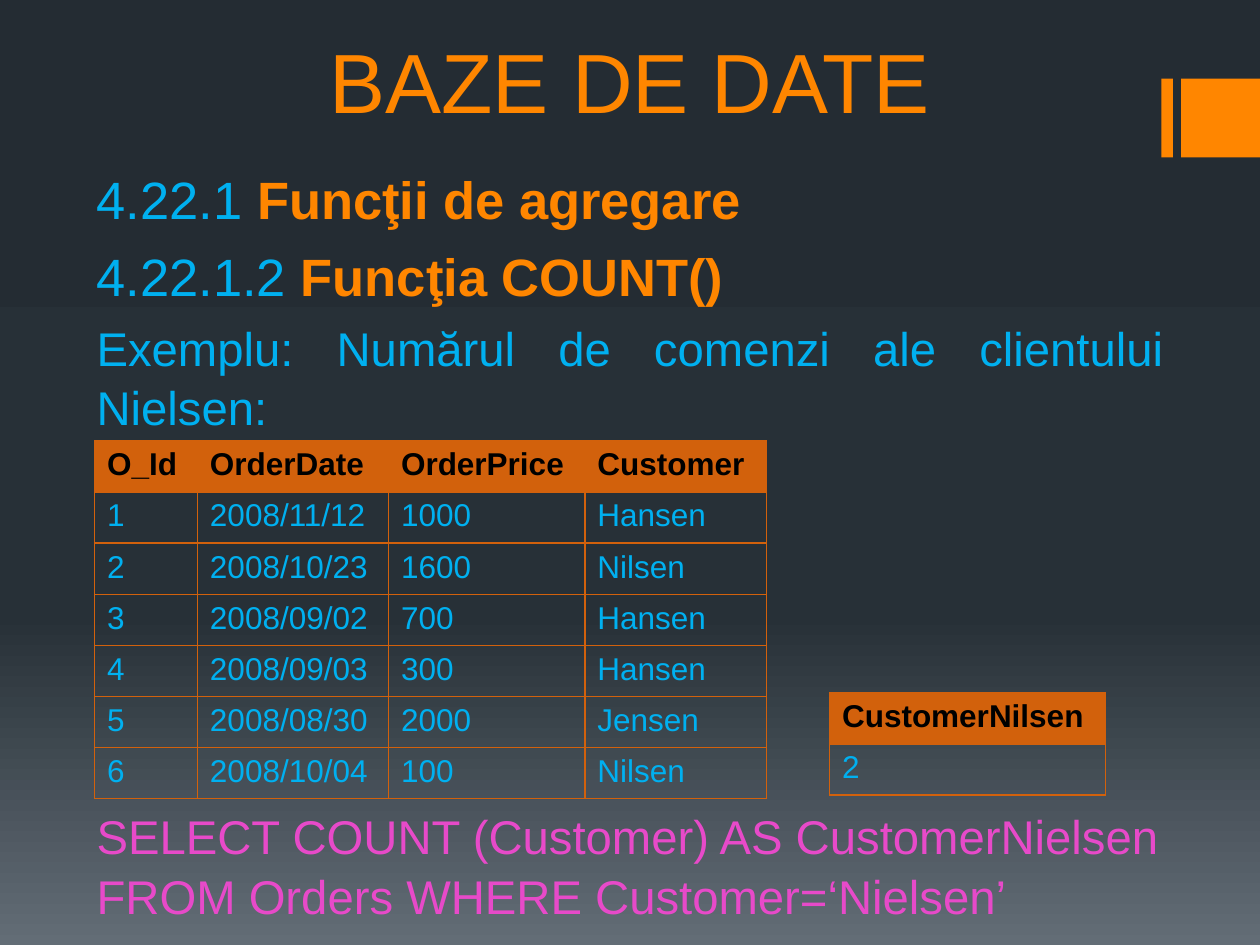
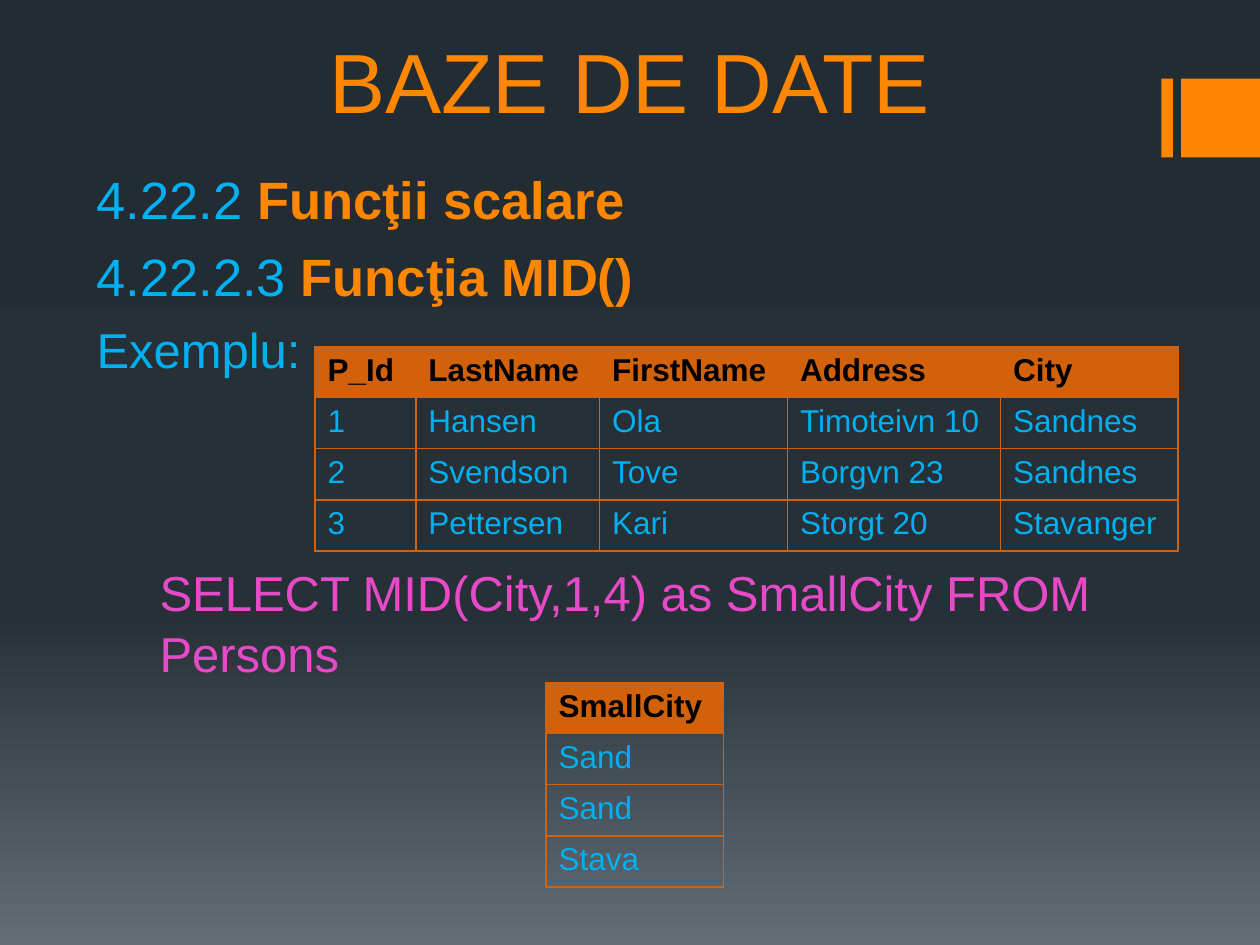
from dataclasses import dataclass
from typing import Any

import pptx
import pptx.dml.color
import pptx.enum.shapes
import pptx.enum.text
import pptx.oxml
import pptx.oxml.ns
import pptx.util
from lxml import etree

# Shared look
ORANGE, RUST, CYAN, PINK, BLACK = "FF8600", "D2610C", "00B0F0", "E74AC9", "000000"
BACKDROP = [(0, "242C33"), (65, "273037"), (100, "636D76")]
FONT = "Arial"
COLS, ROWS = 120, 90
ROW_H = 4.87
LINE_SPACING = 1.05
ALIGN = pptx.enum.text.PP_ALIGN
qn = pptx.oxml.ns.qn

prs = pptx.Presentation()
prs.slide_width, prs.slide_height = pptx.util.Inches(10), pptx.util.Inches(7.5)


@dataclass
class Box:
    """Place and size in grid columns and rows."""
    x: float
    y: float
    w: float
    h: float


@dataclass
class Run:
    text: str
    color: str = CYAN
    bold: bool = False


@dataclass
class Para:
    runs: list[Run]
    size: float = 30
    before: float = 6
    align: Any = ALIGN.LEFT
    level: int = 0


@dataclass
class Grid:
    x: float
    y: float
    widths: list[float]
    rows: list[list[str]]


@dataclass
class Page:
    paras: list[Para]
    grids: list[Grid]


TITLE_BOX = Box(9, 0, 102, 13)
BODY_BOX = Box(8, 15, 104, 67)
BARS = [Box(110.6, 7.5, 1.1, 7.5), Box(112.5, 7.5, 7.5, 7.5)]


def col(n: float) -> int:
    return round(prs.slide_width * n / COLS)


def row(n: float) -> int:
    return round(prs.slide_height * n / ROWS)


def rgb(color: str) -> pptx.dml.color.RGBColor:
    return pptx.dml.color.RGBColor.from_string(color)


def apply(target: Any, values: dict[str, Any]) -> None:
    for name, value in values.items():
        setattr(target, name, value)


def place(sp: Any, box: Box) -> None:
    apply(sp, {"left": col(box.x), "top": row(box.y),
               "width": col(box.w), "height": row(box.h)})


def add_run(p: Any, run: Run, size: float) -> None:
    r = p.add_run()
    r.text = run.text
    apply(r.font, {"name": FONT, "size": pptx.util.Pt(size), "bold": run.bold})
    r.font.color.rgb = rgb(run.color)


def set_backdrop() -> None:
    master = prs.slide_master
    fill = master.background.fill
    fill.gradient()
    fill.gradient_angle = 270
    stops = master.element.find(".//" + qn("a:gsLst"))
    for stop in list(stops):
        stops.remove(stop)
    for percent, color in BACKDROP:
        stop = etree.SubElement(stops, qn("a:gs"), pos=str(percent * 1000))
        etree.SubElement(stop, qn("a:srgbClr"), val=color)


def add_bars(s: Any, layout: Any) -> None:
    """Draw the corner bars and hand them to the layout."""
    for sp in list(layout.placeholders)[2:]:
        sp.element.getparent().remove(sp.element)
    for box in BARS:
        sp = s.shapes.add_shape(pptx.enum.shapes.MSO_SHAPE.RECTANGLE, 0, 0, 0, 0)
        place(sp, box)
        sp.shadow.inherit = False
        sp.fill.solid()
        sp.fill.fore_color.rgb = rgb(ORANGE)
        sp.line.fill.background()
    for sp in list(s.shapes)[-len(BARS):]:
        layout.shapes.element.append(sp.element)


def fill_title(sp: Any) -> None:
    place(sp, TITLE_BOX)
    tf = sp.text_frame
    apply(tf, {"vertical_anchor": pptx.enum.text.MSO_ANCHOR.BOTTOM,
               "auto_size": pptx.enum.text.MSO_AUTO_SIZE.NONE})
    p = tf.paragraphs[0]
    p.alignment = ALIGN.CENTER
    add_run(p, Run("BAZE DE DATE", ORANGE), 48)


def fill_body(sp: Any, paras: list[Para]) -> None:
    place(sp, BODY_BOX)
    tf = sp.text_frame
    apply(tf, {"vertical_anchor": pptx.enum.text.MSO_ANCHOR.TOP,
               "auto_size": pptx.enum.text.MSO_AUTO_SIZE.NONE})
    for i, para in enumerate(paras):
        p = tf.add_paragraph() if i else tf.paragraphs[0]
        apply(p, {"alignment": para.align, "level": para.level,
                  "line_spacing": LINE_SPACING,
                  "space_before": pptx.util.Pt(para.before if i else 0)})
        for run in para.runs:
            add_run(p, run, para.size)


def set_borders(cell: Any) -> None:
    props = cell._tc.get_or_add_tcPr()
    for i, side in enumerate(("a:lnL", "a:lnR", "a:lnT", "a:lnB")):
        line = etree.Element(qn(side), w=str(pptx.util.Pt(1)))
        fill = etree.SubElement(line, qn("a:solidFill"))
        etree.SubElement(fill, qn("a:srgbClr"), val=RUST)
        props.insert(i, line)


def add_grid(s: Any, grid: Grid) -> None:
    count = len(grid.rows)
    table = s.shapes.add_table(count, len(grid.widths), col(grid.x), row(grid.y),
                               col(sum(grid.widths)), row(ROW_H * count)).table
    table.horz_banding = False
    for column, width in zip(table.columns, grid.widths):
        column.width = col(width)
    for i, texts in enumerate(grid.rows):
        table.rows[i].height = row(ROW_H)
        for j, text in enumerate(texts):
            cell = table.cell(i, j)
            if i == 0:
                cell.fill.solid()
                cell.fill.fore_color.rgb = rgb(RUST)
            else:
                cell.fill.background()
            set_borders(cell)
            run = Run(text, CYAN if i else BLACK, i == 0)
            add_run(cell.text_frame.paragraphs[0], run, 18)


def heading(number: str, name: str) -> Para:
    return Para([Run(number + " "), Run(name, ORANGE, True)])


# Slide contents
PAGES = [
    Page(
        [heading("4.22.1", "Funcţii de agregare"),
         heading("4.22.1.2", "Funcţia COUNT()"),
         Para([Run("Exemplu: Numărul de comenzi ale clientului Nielsen:")],
              27, 5.4, ALIGN.JUSTIFY),
         Para([Run("SELECT COUNT (Customer) AS CustomerNielsen FROM Orders "
                   "WHERE Customer=‘Nielsen’", PINK)], 27, 211)],
        [Grid(9, 42, [9.8, 18.2, 18.7, 17.3], [
            ["O_Id", "OrderDate", "OrderPrice", "Customer"],
            ["1", "2008/11/12", "1000", "Hansen"],
            ["2", "2008/10/23", "1600", "Nilsen"],
            ["3", "2008/09/02", "700", "Hansen"],
            ["4", "2008/09/03", "300", "Hansen"],
            ["5", "2008/08/30", "2000", "Jensen"],
            ["6", "2008/10/04", "100", "Nilsen"]]),
         Grid(79, 66, [26.3], [["CustomerNilsen"], ["2"]])]),
    Page(
        [heading("4.22.2", "Funcţii scalare"),
         heading("4.22.2.3", "Funcţia MID()"),
         Para([Run("Exemplu:")], 28, 5.6, ALIGN.JUSTIFY),
         Para([Run("SELECT MID(City,1,4) as SmallCity FROM Persons", PINK)],
              28, 103.5, level=1)],
        [Grid(30, 33, [9.6, 17.5, 17.9, 20.3, 16.9], [
            ["P_Id", "LastName", "FirstName", "Address", "City"],
            ["1", "Hansen", "Ola", "Timoteivn 10", "Sandnes"],
            ["2", "Svendson", "Tove", "Borgvn 23", "Sandnes"],
            ["3", "Pettersen", "Kari", "Storgt 20", "Stavanger"]]),
         Grid(52, 65, [16.9], [["SmallCity"], ["Sand"], ["Sand"], ["Stava"]])]),
]


def main() -> None:
    set_backdrop()
    layout = prs.slide_layouts[0]
    for i, page in enumerate(PAGES):
        s = prs.slides.add_slide(layout)
        if i == 0:
            add_bars(s, layout)
        fill_title(s.shapes.title)
        fill_body(s.placeholders[1], page.paras)
        for grid in page.grids:
            add_grid(s, grid)
    prs.save("out.pptx")


if __name__ == "__main__":
    main()
